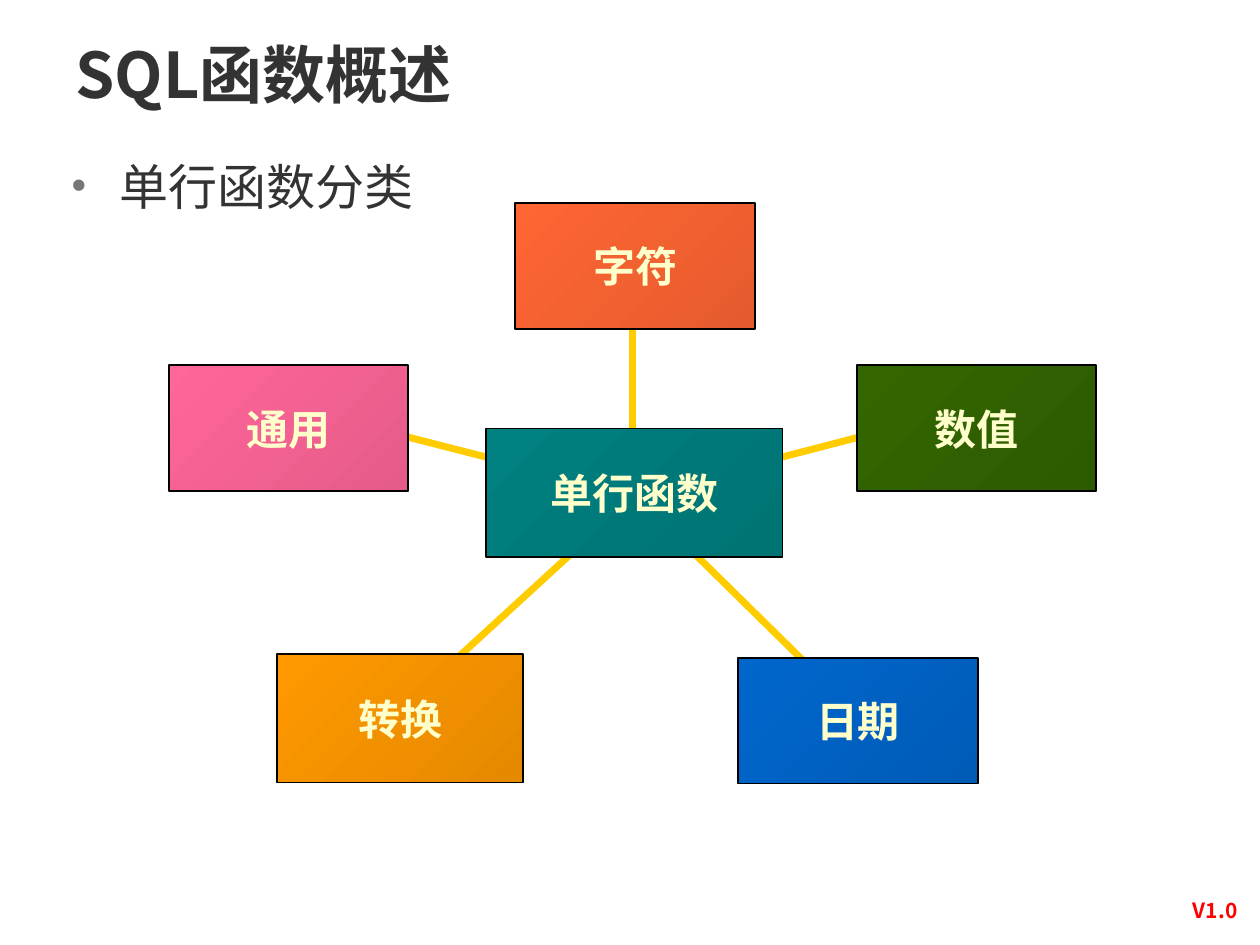
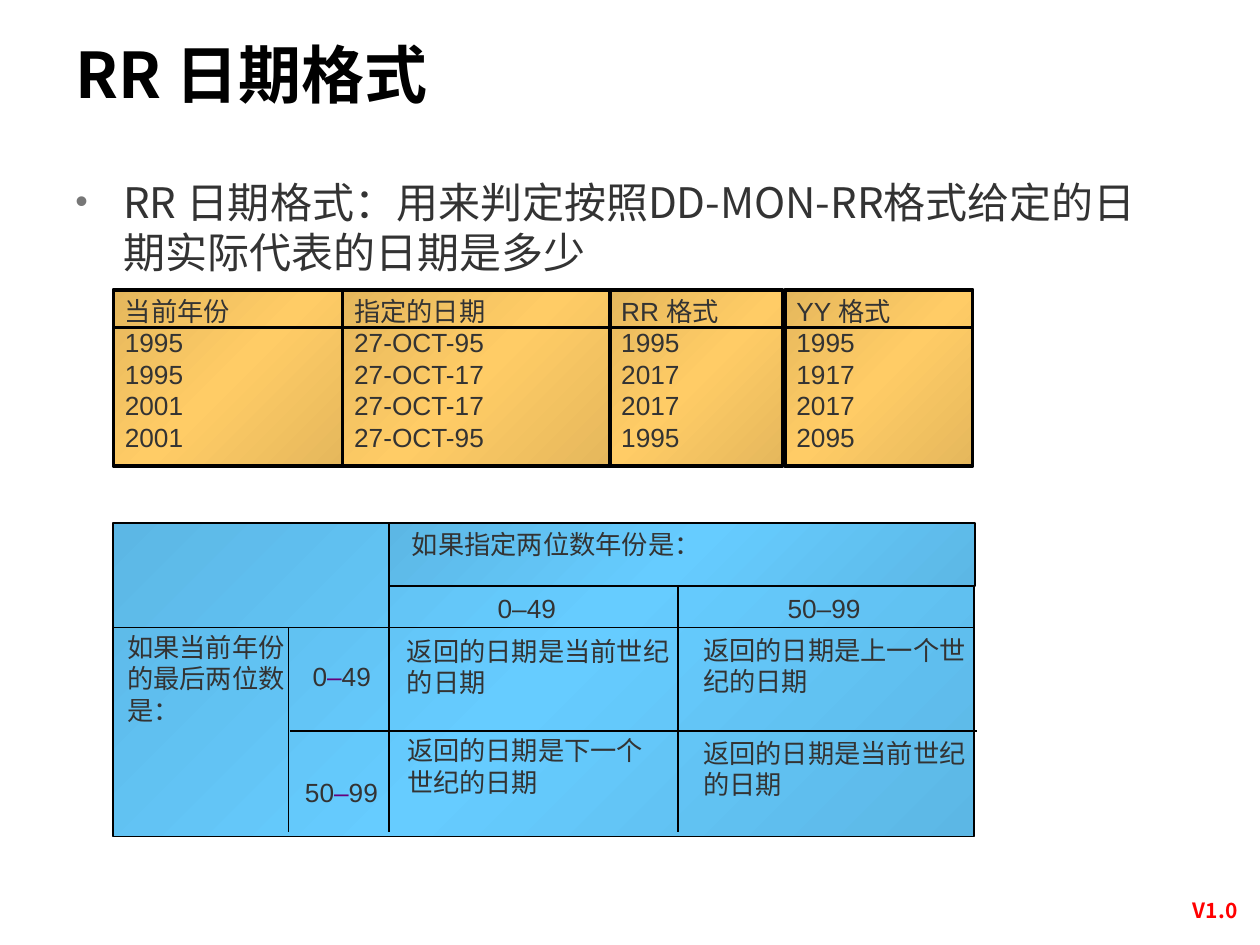
from dataclasses import dataclass

from lxml.etree import SubElement
from pptx import Presentation
from pptx.dml.color import RGBColor
from pptx.enum.shapes import MSO_CONNECTOR, MSO_SHAPE
from pptx.enum.text import MSO_ANCHOR, PP_ALIGN
from pptx.oxml.ns import qn
from pptx.util import Pt

PX = 9144


@dataclass(frozen=True)
class Theme:
    """Colours, fonts and type sizes shared by the slides."""
    ink: str = "333333"
    black: str = "000000"
    version: str = "FF0000"
    bullet: str = "777777"
    dash: str = "66007C"
    spoke: str = "FFCC00"
    label: str = "FFFFCC"
    gold: tuple[str, ...] = ("E5B75C", "FFCC66", "E5B75C")
    sky: tuple[str, ...] = ("5CB7E5", "66CCFF", "5CB7E5")
    cjk: str = "Noto Sans CJK SC"
    latin: str = "Arial"
    narrow: str = "Arial Narrow"
    title_size: int = 36
    label_size: int = 24
    table_size: int = 15
    version_size: int = 12
    leading: float = 1.2


THEME = Theme()


@dataclass(frozen=True)
class Box:
    """A rectangle in px."""
    left: int
    top: int
    width: int
    height: int

    def emu(self) -> tuple[int, ...]:
        """Return the four lengths in EMU."""
        return tuple(PX * value for value in (self.left, self.top, self.width, self.height))


@dataclass(frozen=True)
class Style:
    """How a piece of text looks."""
    size: float
    color: str = THEME.ink
    font: str = THEME.latin
    bold: bool = False


@dataclass(frozen=True)
class Category:
    """A kind of function and the end of its spoke."""
    label: str
    color: str
    box: Box
    spoke_end: tuple[int, int]
    spoke_start: tuple[int, int] = (504, 393)


@dataclass(frozen=True)
class Column:
    """A column of the year table."""
    left: int
    width: int
    lines: tuple[str, ...]


@dataclass(frozen=True)
class Rule:
    """A straight line in px."""
    x1: int
    y1: int
    x2: int
    y2: int


@dataclass(frozen=True)
class Note:
    """A text of the century grid."""
    text: str
    box: Box
    font: str = THEME.latin
    accent_dash: bool = False


TITLE = Style(THEME.title_size, font=THEME.cjk, bold=True)
BLACK_TITLE = Style(THEME.title_size, THEME.black, THEME.cjk, True)
LABEL = Style(THEME.label_size, THEME.label, bold=True)
TABLE = Style(THEME.table_size)
VERSION = Style(THEME.version_size, THEME.version, THEME.cjk, True)

HUB = ("单行函数", "008080", Box(386, 340, 235, 102))
CATEGORIES = (
    Category("字符", "FF6633", Box(409, 161, 190, 100), (502, 238), (502, 393)),
    Category("通用", "FF6699", Box(134, 290, 190, 100), (289, 338)),
    Category("数值", "336600", Box(680, 290, 190, 100), (724, 336)),
    Category("转换", "FF9900", Box(220, 519, 195, 102), (313, 568)),
    Category("日期", "0066CC", Box(586, 522, 190, 100), (687, 573)),
)
COLUMNS = (
    Column(90, 182, ("当前年份", "1995", "1995", "2001", "2001")),
    Column(272, 212, ("指定的日期", "27-OCT-95", "27-OCT-17", "27-OCT-17", "27-OCT-95")),
    Column(484, 137, ("RR 格式", "1995", "2017", "2017", "1995")),
    Column(623, 149, ("YY 格式", "1995", "1917", "2017", "2095")),
)
GRID_BOXES = (Box(90, 415, 683, 249), Box(309, 415, 465, 50))
GRID_RULES = (
    Rule(89, 498, 773, 498),
    Rule(230, 580, 775, 580),
    Rule(229, 498, 229, 660),
    Rule(309, 465, 309, 660),
    Rule(538, 465, 538, 660),
)
GRID_NOTES = (
    Note("如果指定两位数年份是：", Box(318, 415, 384, 34), THEME.narrow),
    Note("0–49", Box(386, 466, 110, 34)),
    Note("50–99", Box(616, 466, 108, 34)),
    Note("如果当前年份的最后两位数是：", Box(92, 497, 147, 84)),
    Note("0–49", Box(239, 520, 89, 34), accent_dash=True),
    Note("50–99", Box(233, 612, 109, 34), accent_dash=True),
    Note("返回的日期是当前世纪的日期", Box(314, 500, 230, 60)),
    Note("返回的日期是上一个世纪的日期", Box(549, 499, 230, 60)),
    Note("返回的日期是下一个世纪的日期", Box(314, 579, 222, 60)),
    Note("返回的日期是当前世纪的日期", Box(549, 581, 230, 60)),
)


def darker(color: str) -> str:
    """Return the colour at nine tenths of its brightness."""
    return "".join(f"{int(color[i:i + 2], 16) * 9 // 10:02X}" for i in (0, 2, 4))


def style_run(run, style: Style) -> None:
    """Give a run its font for Latin and Chinese letters."""
    run.font.size = Pt(style.size)
    run.font.bold = style.bold
    run.font.name = style.font
    run.font.color.rgb = RGBColor.from_string(style.color)
    properties = run._r.get_or_add_rPr()
    SubElement(properties, qn("a:ea")).set("typeface", THEME.cjk)


def write(shape, text: str, style: Style, insets: tuple[int, int] = (10, 5),
          align=PP_ALIGN.LEFT, anchor=MSO_ANCHOR.TOP, wrap: bool = True, spacing=None):
    """Fill a shape with styled paragraphs and return its text frame."""
    frame = shape.text_frame
    frame.text = text
    frame.word_wrap = wrap
    frame.vertical_anchor = anchor
    frame.margin_left = frame.margin_right = insets[0] * PX
    frame.margin_top = frame.margin_bottom = insets[1] * PX
    for paragraph in frame.paragraphs:
        paragraph.alignment = align
        paragraph.line_spacing = spacing
        for run in paragraph.runs:
            style_run(run, style)
    return frame


def write_table_text(shape, text: str, style: Style = TABLE):
    """Write small table text with fixed line pitch."""
    return write(shape, text, style, (9, 4), spacing=Pt(style.size * THEME.leading))


def add_panel(slide, box: Box, colors: tuple[str, ...], line_width: int = 1):
    """Add a black-edged rectangle with a diagonal gradient."""
    shape = slide.shapes.add_shape(MSO_SHAPE.RECTANGLE, *box.emu())
    shape.shadow.inherit = False
    shape.line.color.rgb = RGBColor.from_string(THEME.black)
    shape.line.width = Pt(line_width)
    shape.fill.gradient()
    shape.fill.gradient_angle = 315
    stops = shape._element.spPr.find(qn("a:gradFill")).find(qn("a:gsLst"))
    for stop in list(stops):
        stops.remove(stop)
    for index, color in enumerate(colors):
        stop = SubElement(stops, qn("a:gs"))
        stop.set("pos", str(100000 * index // (len(colors) - 1)))
        SubElement(stop, qn("a:srgbClr")).set("val", color)
    return shape


def add_rule(slide, rule: Rule, color: str = THEME.black, width: int = 1) -> None:
    """Add a straight line without a shadow."""
    ends = (PX * value for value in (rule.x1, rule.y1, rule.x2, rule.y2))
    connector = slide.shapes.add_connector(MSO_CONNECTOR.STRAIGHT, *ends)
    connector.line.color.rgb = RGBColor.from_string(color)
    connector.line.width = Pt(width)
    SubElement(connector._element.spPr, qn("a:effectLst"))


def add_text_box(slide, box: Box):
    """Add an empty text box."""
    return slide.shapes.add_textbox(*box.emu())


def add_bullet(paragraph) -> None:
    """Give a paragraph a grey hanging bullet."""
    properties = paragraph._p.get_or_add_pPr()
    properties.set("marL", str(38 * PX))
    properties.set("indent", str(-38 * PX))
    color = SubElement(properties, qn("a:buClr"))
    SubElement(color, qn("a:srgbClr")).set("val", THEME.bullet)
    SubElement(properties, qn("a:buSzPct")).set("val", "85000")
    SubElement(properties, qn("a:buFont")).set("typeface", THEME.latin)
    SubElement(properties, qn("a:buChar")).set("char", "•")


def start_slide(presentation, title: str, title_style: Style,
                body: str, body_box: Box, body_size: int):
    """Add a slide with version mark, title and bulleted body."""
    slide = presentation.slides.add_slide(presentation.slide_layouts[6])
    write(add_text_box(slide, Box(925, 707, 79, 30)), "V1.0", VERSION,
          align=PP_ALIGN.CENTER, anchor=MSO_ANCHOR.MIDDLE)
    frame = write(add_text_box(slide, body_box), body, Style(body_size, font=THEME.cjk),
                  (10, 9), spacing=Pt(body_size * THEME.leading))
    add_bullet(frame.paragraphs[0])
    write(add_text_box(slide, Box(50, 30, 797, 77)), title, title_style, spacing=0.9)
    return slide


def add_label_box(slide, label: str, color: str, box: Box) -> None:
    """Add a coloured rectangle with a centred label."""
    write(add_panel(slide, box, (color, darker(color))), label, LABEL,
          align=PP_ALIGN.CENTER, anchor=MSO_ANCHOR.MIDDLE, wrap=False)


def add_note(slide, note: Note) -> None:
    """Add a grid text, with its dash coloured when asked."""
    style = Style(THEME.table_size, font=note.font)
    frame = write_table_text(add_text_box(slide, note.box), note.text, style)
    if note.accent_dash:
        paragraph = frame.paragraphs[0]
        first, dash, last = note.text.partition("–")
        paragraph.runs[0].text = first
        for part, color in ((dash, THEME.dash), (last, THEME.ink)):
            run = paragraph.add_run()
            run.text = part
            style_run(run, Style(THEME.table_size, color))


def build_function_slide(presentation) -> None:
    """Build the hub and spokes of single-row functions."""
    slide = start_slide(presentation, "SQL函数概述", TITLE, "单行函数分类",
                        Box(47, 115, 891, 543), 28)
    for category in CATEGORIES:
        add_rule(slide, Rule(*category.spoke_start, *category.spoke_end), THEME.spoke, 4)
    for category in CATEGORIES:
        add_label_box(slide, category.label, category.color, category.box)
    add_label_box(slide, *HUB)


def build_date_slide(presentation) -> None:
    """Build the year table and the century grid."""
    slide = start_slide(presentation, "RR 日期格式", BLACK_TITLE,
                        "RR 日期格式：用来判定按照DD-MON-RR格式给定的日期实际代表的日期是多少",
                        Box(50, 131, 891, 543), 24)
    for column in COLUMNS:
        panel = add_panel(slide, Box(column.left, 230, column.width, 140), THEME.gold, 2)
        write_table_text(panel, "\n".join(column.lines))
    add_rule(slide, Rule(89, 260, 773, 260), width=2)
    for box in GRID_BOXES:
        add_panel(slide, box, THEME.sky)
    for rule in GRID_RULES:
        add_rule(slide, rule)
    for note in GRID_NOTES:
        add_note(slide, note)


def main() -> None:
    """Build and save the presentation."""
    presentation = Presentation()
    presentation.slide_width = 1000 * PX
    presentation.slide_height = 750 * PX
    build_function_slide(presentation)
    build_date_slide(presentation)
    presentation.save("out.pptx")


if __name__ == "__main__":
    main()
